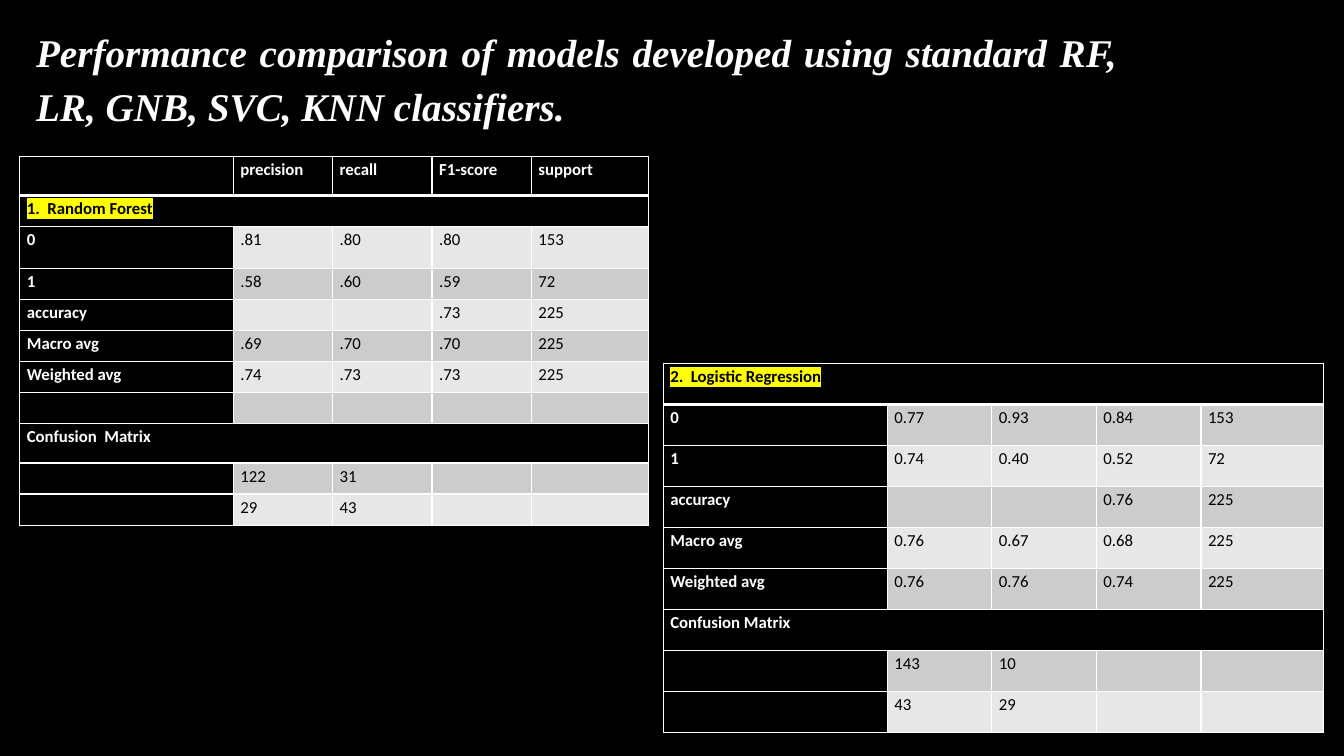
from dataclasses import dataclass

from lxml import etree
from pptx import Presentation, util as u
from pptx.dml.color import RGBColor
from pptx.enum import text
from pptx.oxml.ns import qn

COLORS = {"black": "000000", "white": "FFFFFF", "light": "E7E7E7",
          "dark": "CCCCCC", "highlight": "FFFF00"}
COLUMN_COUNT = 5
PARAGRAPH_FORMAT = {"alignment": text.PP_ALIGN.JUSTIFY, "line_spacing": 1.15,
                    "space_after": u.Pt(10)}
TITLE_FONT = {"name": "Times New Roman", "size": u.Pt(28), "bold": True, "italic": True}
CELL_FONT = {"name": "Calibri", "size": u.Pt(12)}
CELL_FORMAT = {"margin_left": u.Pt(5), "margin_right": u.Pt(5),
               "margin_top": 0, "margin_bottom": 0}
TABLE_FORMAT = {"first_row": False, "horz_banding": False}


@dataclass
class Row:
    height: float
    values: tuple[str, ...]
    spans: bool = False
    heading: bool = False
    marked: bool = False


@dataclass
class ScoreTable:
    left: float
    top: float
    widths: list[float]
    rows: list[Row]


SHORT, TALL, EVEN = 22.2, 28, 29.28

TABLES = [
    ScoreTable(14.2, 111.6, [152.5, 71, 71, 71, 83.4], [
        Row(TALL, ("", "precision", "recall", "F1-score", "support"), heading=True),
        Row(SHORT, ("1.  Random Forest",), spans=True, marked=True),
        Row(30, ("0", ".81", ".80", ".80", "153")),
        Row(SHORT, ("1", ".58", ".60", ".59", "72")),
        Row(SHORT, ("accuracy", "", "", ".73", "225")),
        Row(SHORT, ("Macro avg", ".69", ".70", ".70", "225")),
        Row(SHORT, ("Weighted avg", ".74", ".73", ".73", "225")),
        Row(SHORT, ()),
        Row(TALL, ("Confusion  Matrix",), spans=True),
        Row(SHORT, ("", "122", "31")),
        Row(SHORT, ("", "29", "43")),
    ]),
    ScoreTable(473.8, 259.7, [160, 74.7, 74.7, 74.7, 87.6], [
        Row(EVEN, ("2.  Logistic Regression",), spans=True, marked=True),
        Row(EVEN, ("0", "0.77", "0.93", "0.84", "153")),
        Row(EVEN, ("1", "0.74", "0.40", "0.52", "72")),
        Row(EVEN, ("accuracy", "", "", "0.76", "225")),
        Row(EVEN, ("Macro avg", "0.76", "0.67", "0.68", "225")),
        Row(EVEN, ("Weighted avg", "0.76", "0.76", "0.74", "225")),
        Row(EVEN, ("Confusion Matrix",), spans=True),
        Row(EVEN, ("", "143", "10")),
        Row(EVEN, ("", "43", "29")),
    ]),
]


def color(name: str) -> RGBColor:
    return RGBColor.from_string(COLORS[name])


def apply(target: object, values: dict) -> None:
    for name, value in values.items():
        setattr(target, name, value)


def write(para, words: str, font: dict, color_name: str):
    apply(para, PARAGRAPH_FORMAT)
    span = para.add_run()
    span.text = words
    apply(span.font, font)
    span.font.color.rgb = color(color_name)
    return span


def highlight(span) -> None:
    mark = etree.Element(qn("a:highlight"))
    etree.SubElement(mark, qn("a:srgbClr"), val=COLORS["highlight"])
    span.font._element.find(qn("a:solidFill")).addnext(mark)


def set_borders(cell, row_index: int) -> None:
    """White grid lines, with a heavy one below the first row."""
    properties = cell._tc.get_or_add_tcPr()
    heavy_side = {0: "B", 1: "T"}.get(row_index)
    for side in "LRTB":
        width = u.Pt(3 if side == heavy_side else 1)
        line = etree.SubElement(properties, qn(f"a:ln{side}"), w=str(width))
        fill = etree.SubElement(line, qn("a:solidFill"))
        etree.SubElement(fill, qn("a:srgbClr"), val=COLORS["white"])


def fill_cell(cell, row: Row, row_index: int, column_index: int) -> None:
    is_label = row.heading or row.spans or column_index == 0
    band = "dark" if row_index % 2 else "light"
    apply(cell, CELL_FORMAT)
    set_borders(cell, row_index)
    cell.fill.solid()
    cell.fill.fore_color.rgb = color("black" if is_label else band)
    para = cell.text_frame.paragraphs[0]
    words = row.values[column_index] if column_index < len(row.values) else ""
    if not words:
        etree.SubElement(para._p, qn("a:endParaRPr"), sz="1200")
        return
    ink = "white" if is_label and not row.marked else "black"
    span = write(para, words, CELL_FONT | {"bold": is_label}, ink)
    if row.marked:
        highlight(span)


def draw_table(page, scores: ScoreTable) -> None:
    height = sum(row.height for row in scores.rows)
    table = page.shapes.add_table(
        len(scores.rows), COLUMN_COUNT, u.Pt(scores.left), u.Pt(scores.top),
        u.Pt(sum(scores.widths)), u.Pt(height)).table
    apply(table, TABLE_FORMAT)
    for column, width in zip(table.columns, scores.widths):
        column.width = u.Pt(width)
    for row_index, row in enumerate(scores.rows):
        table.rows[row_index].height = u.Pt(row.height)
        for column_index in range(COLUMN_COUNT):
            fill_cell(table.cell(row_index, column_index), row, row_index, column_index)
        if row.spans:
            table.cell(row_index, 0).merge(table.cell(row_index, COLUMN_COUNT - 1))


def draw_title(page) -> None:
    box = page.shapes.add_textbox(u.Pt(18.7), u.Pt(11.5), u.Pt(786.2), u.Pt(82.8))
    apply(box.text_frame, {"word_wrap": True,
                           "auto_size": text.MSO_AUTO_SIZE.SHAPE_TO_FIT_TEXT})
    write(box.text_frame.paragraphs[0],
          "Performance comparison of models developed using standard RF, "
          "LR, GNB, SVC, KNN classifiers.", TITLE_FONT, "white")


def main() -> None:
    deck = Presentation()
    apply(deck, {"slide_width": u.Pt(960), "slide_height": u.Pt(540)})
    page = deck.slides.add_slide(deck.slide_layouts[6])
    page.background.fill.solid()
    page.background.fill.fore_color.rgb = color("black")
    for scores in TABLES:
        draw_table(page, scores)
    draw_title(page)
    deck.save("out.pptx")


if __name__ == "__main__":
    main()
